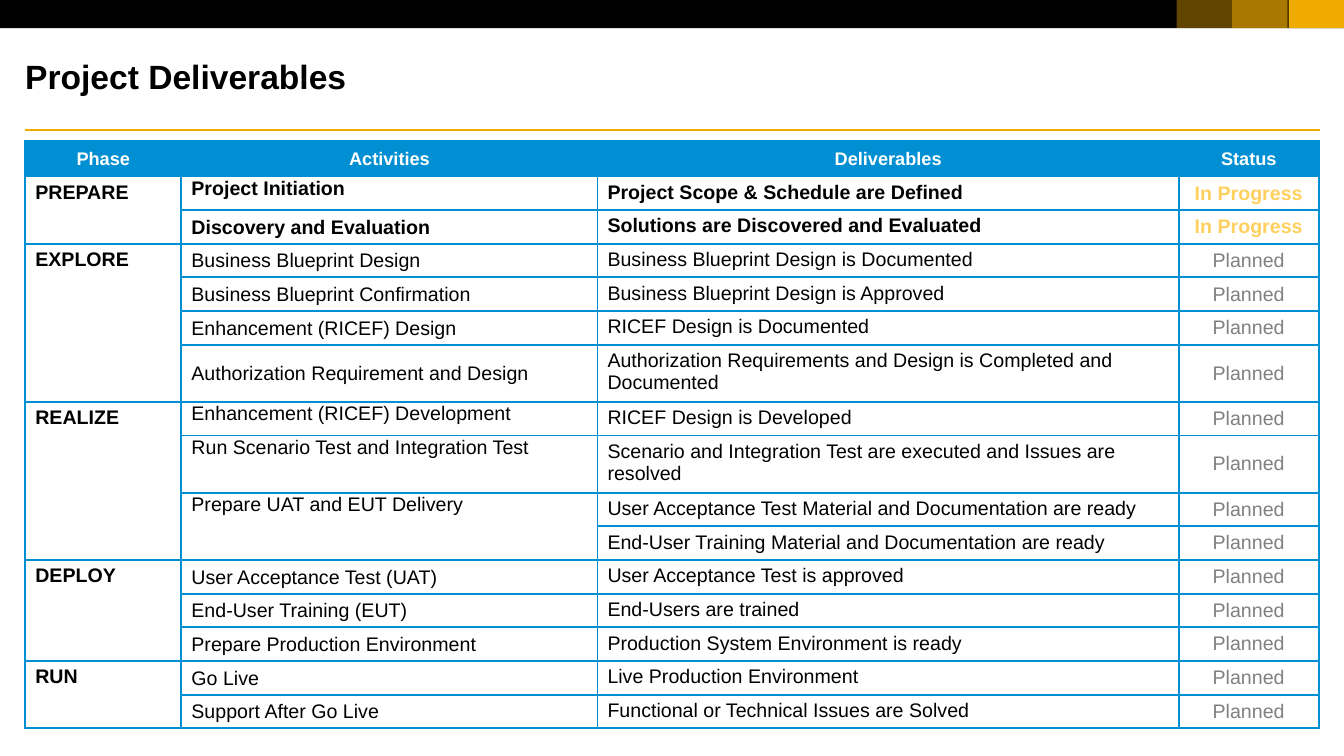
from lxml.etree import SubElement
from pptx import Presentation
from pptx.dml.color import RGBColor
from pptx.enum.shapes import MSO_CONNECTOR, MSO_SHAPE
from pptx.enum.text import MSO_ANCHOR, MSO_AUTO_SIZE, PP_ALIGN
from pptx.oxml.ns import qn
from pptx.util import Inches, Pt

BLACK, WHITE, GOLD, BLUE = "000000", "FFFFFF", "F0AB00", "008FD3"
GRAY, AMBER = "808080", "FFD05D"
TOP, MIDDLE = MSO_ANCHOR.TOP, MSO_ANCHOR.MIDDLE
COLUMN_WIDTHS = [1.55, 4.13, 5.77, 1.39]
HEADINGS = ["Phase", "Activities", "Deliverables", "Status"]
STATUS_COLORS = {"In Progress": AMBER, "Planned": GRAY}
# phase, status, activities: (name, vertical anchor, deliverables)
PHASES = [
    ("PREPARE", "In Progress", [
        ("Project Initiation", TOP, ["Project Scope & Schedule are Defined"]),
        ("Discovery and Evaluation", MIDDLE, ["Solutions are Discovered and Evaluated"]),
    ]),
    ("EXPLORE", "Planned", [
        ("Business Blueprint Design", MIDDLE, ["Business Blueprint Design is Documented"]),
        ("Business Blueprint Confirmation", MIDDLE, ["Business Blueprint Design is Approved"]),
        ("Enhancement (RICEF) Design", MIDDLE, ["RICEF Design is Documented"]),
        ("Authorization Requirement and Design", MIDDLE,
         ["Authorization Requirements and Design is Completed and Documented"]),
    ]),
    ("REALIZE", "Planned", [
        ("Enhancement (RICEF) Development", TOP, ["RICEF Design is Developed"]),
        ("Run Scenario Test and Integration Test", TOP,
         ["Scenario and Integration Test are executed and Issues are resolved"]),
        ("Prepare UAT and EUT Delivery", TOP,
         ["User Acceptance Test Material and Documentation are ready",
          "End-User Training Material and Documentation are ready"]),
    ]),
    ("DEPLOY", "Planned", [
        ("User Acceptance Test (UAT)", MIDDLE, ["User Acceptance Test is approved"]),
        ("End-User Training (EUT)", MIDDLE, ["End-Users are trained"]),
        ("Prepare Production Environment", MIDDLE, ["Production System Environment is ready"]),
    ]),
    ("RUN", "Planned", [
        ("Go Live", MIDDLE, ["Live Production Environment"]),
        ("Support After Go Live", MIDDLE, ["Functional or Technical Issues are Solved"]),
    ]),
]


def color(hex_string):
    return RGBColor.from_string(hex_string)


def set_attributes(target, values):
    for name, value in values.items():
        setattr(target, name, value)


class SlideBuilder:
    """Holds the font, the border style and the current slide."""

    font_name = "Arial"
    border_color = BLUE
    border_width = Pt(1.5)

    def __init__(self, slide):
        self.slide = slide

    def add_text(self, text_frame, text, size, hex_color, bold=False, align=PP_ALIGN.LEFT):
        paragraph = text_frame.paragraphs[0]
        paragraph.alignment = align
        run = paragraph.add_run()
        run.text = text
        set_attributes(run.font, {"name": self.font_name, "size": Pt(size), "bold": bold})
        run.font.color.rgb = color(hex_color)

    def title(self, text):
        shape = self.slide.shapes.title
        set_attributes(shape, {"left": Inches(0.25), "top": Inches(0.55),
                               "width": Inches(12.84), "height": Inches(0.4)})
        set_attributes(shape.text_frame, {
            "margin_left": 0, "margin_top": 0, "margin_right": 0, "margin_bottom": 0,
            "vertical_anchor": MIDDLE, "word_wrap": True,
            "auto_size": MSO_AUTO_SIZE.SHAPE_TO_FIT_TEXT})
        self.add_text(shape.text_frame, text, 24, BLACK, bold=True)

    def bar(self, left, width, hex_color, opacity=100):
        shape = self.slide.shapes.add_shape(
            MSO_SHAPE.RECTANGLE, Inches(left), 0, Inches(width), Inches(0.28))
        shape.shadow.inherit = False
        shape.line.fill.background()
        shape.fill.solid()
        shape.fill.fore_color.rgb = color(hex_color)
        if opacity < 100:
            fill_color = shape.element.spPr.find(qn("a:solidFill"))[0]
            SubElement(fill_color, qn("a:alpha"), val=str(opacity * 1000))

    def rule(self, left, right, top):
        connector = self.slide.shapes.add_connector(
            MSO_CONNECTOR.STRAIGHT, Inches(left), Inches(top), Inches(right), Inches(top))
        connector.line.color.rgb = color(GOLD)
        connector.line.width = Pt(1)
        SubElement(connector.element.spPr, qn("a:effectLst"))

    def table(self, row_count, left, top):
        frame = self.slide.shapes.add_table(
            row_count, len(COLUMN_WIDTHS), Inches(left), Inches(top),
            Inches(sum(COLUMN_WIDTHS)), Inches(0.3 * row_count))
        table = frame.table
        set_attributes(table, {"first_row": False, "horz_banding": False})
        for column, width in zip(table.columns, COLUMN_WIDTHS):
            column.width = Inches(width)
        for row in table.rows:
            row.height = Inches(0.3)
        table.rows[0].height = Inches(0.35)
        for index, cell in enumerate(table.iter_cells()):
            self.outline(cell)
            cell.fill.solid()
            cell.fill.fore_color.rgb = color(BLUE if index < len(HEADINGS) else WHITE)
        return table

    def outline(self, cell):
        """Draw all four borders; call before filling the cell."""
        properties = cell._tc.get_or_add_tcPr()
        for side in ("lnL", "lnR", "lnT", "lnB"):
            line = SubElement(properties, qn("a:" + side), w=str(self.border_width))
            fill = SubElement(line, qn("a:solidFill"))
            SubElement(fill, qn("a:srgbClr"), val=self.border_color)

    def cell(self, cell, text, size=14, hex_color=BLACK, bold=False,
             align=PP_ALIGN.LEFT, **cell_format):
        set_attributes(cell, cell_format)
        self.add_text(cell.text_frame, text, size, hex_color, bold, align)


def fill_deliverables(builder, table):
    for column, heading in enumerate(HEADINGS):
        builder.cell(table.cell(0, column), heading, 13, WHITE, True,
                     PP_ALIGN.CENTER, vertical_anchor=MIDDLE)
    tight = {"margin_top": Inches(0.01), "margin_right": Inches(0.01), "margin_bottom": 0}
    row = 1
    for phase, status, activities in PHASES:
        phase_row = row
        bold = status == "In Progress"
        for activity, anchor, deliverables in activities:
            activity_row = row
            for deliverable in deliverables:
                builder.cell(table.cell(row, 2), deliverable, bold=bold)
                builder.cell(table.cell(row, 3), status, hex_color=STATUS_COLORS[status],
                             bold=bold, align=PP_ALIGN.CENTER, vertical_anchor=MIDDLE)
                row += 1
            if len(deliverables) > 1:
                table.cell(activity_row, 1).merge(table.cell(row - 1, 1))
            builder.cell(table.cell(activity_row, 1), activity, bold=bold,
                         vertical_anchor=anchor, **tight)
        table.cell(phase_row, 0).merge(table.cell(row - 1, 0))
        builder.cell(table.cell(phase_row, 0), phase, bold=True)


def main():
    presentation = Presentation()
    set_attributes(presentation, {"slide_width": Inches(13.34), "slide_height": Inches(7.5)})
    title_only = presentation.slide_layouts[5]
    builder = SlideBuilder(presentation.slides.add_slide(title_only))
    builder.bar(0, 13.34, BLACK)
    for left, opacity in [(11.68, 40), (12.23, 70), (12.79, 100)]:
        builder.bar(left, 0.55, GOLD, opacity)
    builder.rule(0.25, 13.1, 1.29)
    builder.title("Project Deliverables")
    row_count = 1 + sum(len(deliverables) for _, _, activities in PHASES
                        for _, _, deliverables in activities)
    fill_deliverables(builder, builder.table(row_count, 0.25, 1.4))
    presentation.save("out.pptx")


if __name__ == "__main__":
    main()
